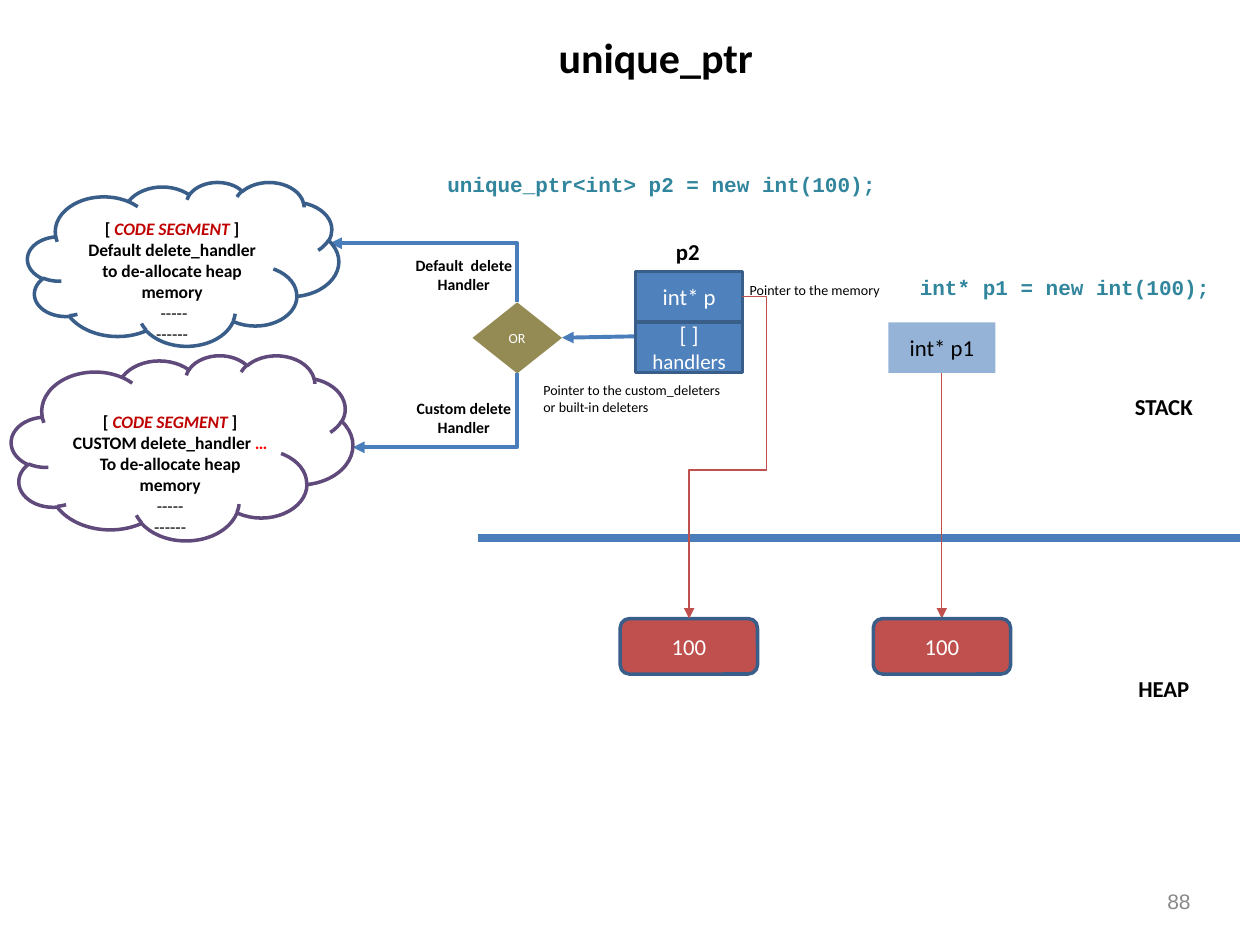
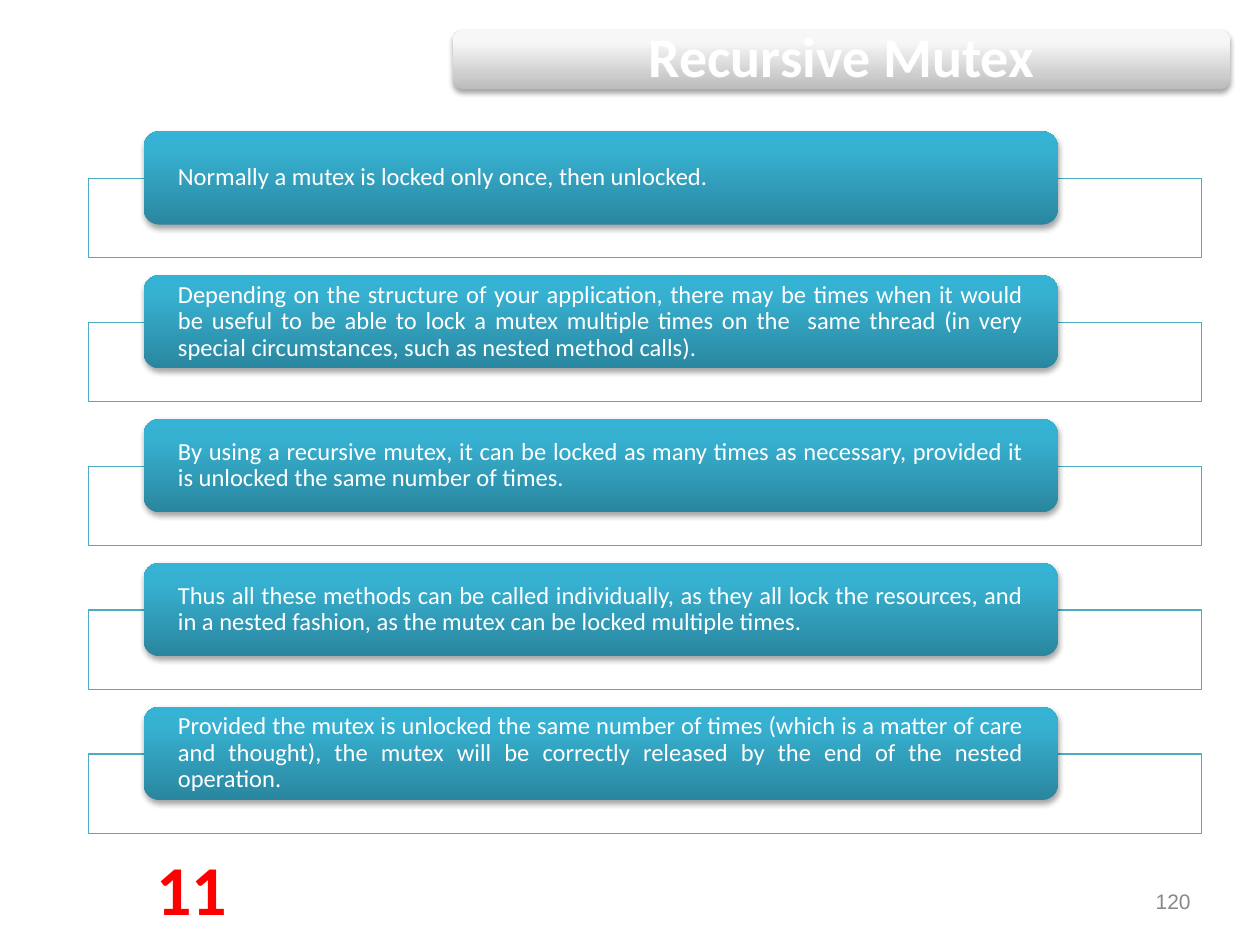
"""Builds two C++ slides: a unique_ptr memory diagram and a recursive mutex list."""
from lxml import etree
from pptx import Presentation
from pptx.dml.color import RGBColor
from pptx.enum.shapes import MSO_CONNECTOR, MSO_SHAPE
from pptx.enum.text import MSO_ANCHOR, PP_ALIGN
from pptx.oxml.ns import qn
from pptx.util import Pt

RECT, ROUND = MSO_SHAPE.RECTANGLE, MSO_SHAPE.ROUNDED_RECTANGLE
CLOUD, GEM = MSO_SHAPE.CLOUD, MSO_SHAPE.DIAMOND
STRAIGHT = MSO_CONNECTOR.STRAIGHT
TOP, MID = MSO_ANCHOR.TOP, MSO_ANCHOR.MIDDLE
LEFT, CENTER, RIGHT, FULL = PP_ALIGN.LEFT, PP_ALIGN.CENTER, PP_ALIGN.RIGHT, PP_ALIGN.JUSTIFY

SANS, CODE, PLAIN = "Calibri", "Courier New", "Arial"
BLACK, WHITE, GREY = "000000", "FFFFFF", "888888"
BLUE, EDGE, WIRE, PALE = "4F81BD", "3A5E8A", "4A7EBB", "95B3D7"
RED, DARK, HOT = "C0504D", "C00000", "FF0000"
PURPLE, OLIVE, TEAL, AQUA = "604A7B", "948A54", "31859C", "4BACC6"
CARD = [(0, "2A869F"), (80, "37B1D1"), (100, "34B3D5")]
BAR = [(0, "BCBCBC"), (80, "F7F7F7"), (100, "F8F8F8")]
PAD = 3.6

SEGMENT = [("[ ", 10, BLACK, "b"), ("CODE SEGMENT ", 10, DARK, "bi"), ("]", 10, BLACK, "b")]
DASHES = [("------", 10, BLACK)]

CLOUDS = [
    ((15.8, 104, 177.8, 93.6), EDGE, (45, 121.2, 106.6, 92), [
        SEGMENT,
        [("Default delete_handler to de-allocate heap memory", 10, BLACK, "b")],
        [(" ", 10, BLACK, "b"), ("-----", 10, BLACK)],
        DASHES]),
    ((6.5, 203, 195.1, 105.8), PURPLE, (36.7, 231.5, 121, 92), [
        SEGMENT,
        [("CUSTOM delete_handler ", 10, BLACK, "b"), ("…", 10, HOT, "b")],
        [("To de-allocate heap memory", 10, BLACK, "b")],
        [("-----", 10, BLACK)],
        DASHES]),
]

BOXES = [
    (RECT, (507.6, 184.3, 61.2, 28.8), PALE, None, [("int* p1", 13, BLACK)]),
    (RECT, (363.2, 184, 61.2, 28.8), BLUE, EDGE, [("[ ] ", 13, WHITE), ("handlers", 12, WHITE)]),
    (RECT, (363.2, 155.2, 61.2, 28.8), BLUE, EDGE, [("int* p", 13, WHITE)]),
    (ROUND, (499, 353.5, 78.5, 31.7), RED, EDGE, [("100", 13, WHITE)]),
    (ROUND, (354.4, 353.5, 78.5, 31.7), RED, EDGE, [("100", 13, WHITE)]),
    (GEM, (270, 172.8, 51.1, 40.6), OLIVE, None, [("OR", 8, WHITE)]),
]

NOTES = [
    ((252, 94.3, 259.2, 21), LEFT, [[("unique_ptr<int> p2 = new int(100);", 12, TEAL, "b", CODE)]]),
    ((522, 153.4, 186.5, 21), LEFT, [[("int* p1 = new int(100);", 12, TEAL, "b", CODE)]]),
    ((630, 221, 70, 20), CENTER, [[("STACK", 13, BLACK, "b")]]),
    ((640, 382, 50, 20), CENTER, [[("HEAP", 13, BLACK, "b")]]),
    ((370, 132.2, 46, 20), CENTER, [[("p2", 13, BLACK, "b")]]),
    ((225, 142.6, 80, 28), CENTER, [[("Default  delete Handler", 9, BLACK, "b")]]),
    ((225, 224.6, 80, 28), CENTER, [[("Custom delete Handler", 9, BLACK, "b")]]),
    ((424.8, 157.2, 90, 15), LEFT, [[("Pointer to the memory", 8, BLACK)]]),
    ((306.9, 214.6, 111, 25), LEFT, [
        [("Pointer to the custom_deleters", 8, BLACK)],
        [("or built-in deleters", 8, BLACK)]]),
]

LINES = [
    ((272.9, 307.4), (708.5, 307.4), WIRE, 4.5, False),
    ((538.2, 213.1), (538.2, 353.5), RED, 0.75, True),
    ((362.9, 192.2), (321.1, 193), WIRE, 2.25, True),
]

BENDS = [
    ([(424.1, 169.6), (438, 169.6), (438, 268.6), (393.8, 268.6), (393.8, 353.5)], RED, 0.75),
    ([(295.5, 172.8), (295.5, 139), (188.6, 139)], WIRE, 2.25),
    ([(295.5, 213.4), (295.5, 255.6), (201.6, 255.6)], WIRE, 2.25),
]

POINTS = [
    "Normally a mutex is locked only once, then unlocked.",
    "Depending on the structure of your application, there may be times when it would be useful "
    "to be able to lock a mutex multiple times on the  same thread (in very special "
    "circumstances, such as nested method calls).",
    "By using a recursive mutex, it can be locked as many times as necessary, provided it is "
    "unlocked the same number of times.",
    "Thus all these methods can be called individually, as they all lock the resources, and in a "
    "nested fashion, as the mutex can be locked multiple times.",
    "Provided the mutex is unlocked the same number of times (which is a matter of care and "
    "thought), the mutex will be correctly released by the end of the nested operation.",
]
STEP = 82.2


def ink(code):
    return RGBColor.from_string(code)


def pts(nums):
    return [Pt(num) for num in nums]


def node(root, tag, **attrs):
    return etree.SubElement(root, qn(tag), {key: str(val) for key, val in attrs.items()})


def write(frame, paras, align=LEFT, anchor=TOP, side=PAD, ends=PAD, space=None):
    frame.word_wrap = True
    frame.vertical_anchor = anchor
    frame.margin_left = frame.margin_right = Pt(side)
    frame.margin_top = frame.margin_bottom = Pt(ends)
    for num, runs in enumerate(paras):
        para = frame.add_paragraph() if num else frame.paragraphs[0]
        para.alignment = align
        para.line_spacing = space
        for text, size, color, style, font in (run + ("", SANS)[len(run) - 3:] for run in runs):
            run = para.add_run()
            run.text = text
            run.font.size, run.font.name = Pt(size), font
            run.font.color.rgb = ink(color)
            run.font.bold, run.font.italic = "b" in style, "i" in style


def note(slide, box, paras, align=LEFT):
    write(slide.shapes.add_textbox(*pts(box)).text_frame, paras, align)


def stroke(shape, color, width, arrow=False):
    shape.line.color.rgb = ink(color)
    shape.line.width = Pt(width)
    if arrow:
        node(shape.element.spPr.find(qn("a:ln")), "a:tailEnd", type="triangle")


def block(slide, kind, box, fill=None, edge=None, width=2):
    shape = slide.shapes.add_shape(kind, *pts(box))
    shape.shadow.inherit = False
    if fill:
        shape.fill.solid()
        shape.fill.fore_color.rgb = ink(fill)
    else:
        shape.fill.background()
    if edge:
        stroke(shape, edge, width)
    else:
        shape.line.fill.background()
    return shape


def gloss(slide, box, stops):
    shape = block(slide, ROUND, box)
    shape.fill.gradient()
    shape.fill.gradient_angle = 90
    props = shape.element.spPr
    ramp = props.find(".//" + qn("a:gsLst"))
    ramp.clear()
    for pos, color in stops:
        node(node(ramp, "a:gs", pos=pos * 1000), "a:srgbClr", val=color)
    shade = node(props.find(qn("a:effectLst")), "a:outerShdw", blurRad=Pt(3), dist=Pt(1.8),
                 dir=5400000, rotWithShape=0)
    node(node(shade, "a:srgbClr", val=BLACK), "a:alpha", val=35000)
    return shape


def link(slide, start, end, color, width, arrow):
    line = slide.shapes.add_connector(STRAIGHT, *pts(start + end))
    stroke(line, color, width, arrow)
    node(line.element.spPr, "a:effectLst")


def bend(slide, spots, color, width):
    first, *rest = [pts(spot) for spot in spots]
    path = slide.shapes.build_freeform(*first)
    path.add_line_segments(rest, close=False)
    shape = path.convert_to_shape()
    shape.shadow.inherit = False
    shape.fill.background()
    stroke(shape, color, width, True)


def head(slide, text, box, size, color, page):
    title = slide.shapes.title
    title.left, title.top, title.width, title.height = pts(box)
    write(title.text_frame, [[(text, size, color, "b")]], CENTER, MID, space=0.9)
    title.element.getparent().append(title.element)
    note(slide, (620, 504.4, 64, 19.4), [[(page, 12, GREY, "", PLAIN)]], RIGHT)


def draw_ptr(slide):
    for start, end, color, width, arrow in LINES:
        link(slide, start, end, color, width, arrow)
    for kind, box, fill, edge, runs in BOXES:
        shape = block(slide, kind, box, fill, edge)
        write(shape.text_frame, [runs], CENTER, MID, 0 if kind == GEM else PAD, 0)
    for spots, color, width in BENDS:
        bend(slide, spots, color, width)
    for box, edge, area, paras in CLOUDS:
        block(slide, CLOUD, box, edge=edge)
        note(slide, area, paras, CENTER)
    for box, align, paras in NOTES:
        note(slide, box, paras, align)
    head(slide, "unique_ptr", (302.4, 16.2, 144.7, 36.5), 24, BLACK, "88")


def draw_mutex(slide):
    for num, text in enumerate(POINTS):
        drop = num * STEP
        block(slide, RECT, (50.4, 102 + drop, 636, 45.4), WHITE, AQUA, 0.75)
        card = gloss(slide, (82.1, 75.1 + drop, 522.4, 53.3), CARD)
        write(card.text_frame, [[(text, 14, WHITE)]], FULL, MID, 17, 0, 0.9)
    gloss(slide, (258.8, 17, 444.2, 34), BAR)
    head(slide, "Recursive Mutex", (260.2, 8.4, 441.4, 51.1), 32, WHITE, "120")
    note(slide, (85, 479.5, 49, 56), [[("11", 40, HOT, "b")]], CENTER)


def main():
    deck = Presentation()
    deck.slide_width, deck.slide_height = Pt(720), Pt(540)
    for draw in (draw_ptr, draw_mutex):
        draw(deck.slides.add_slide(deck.slide_layouts[5]))
    deck.save("out.pptx")


if __name__ == "__main__":
    main()
